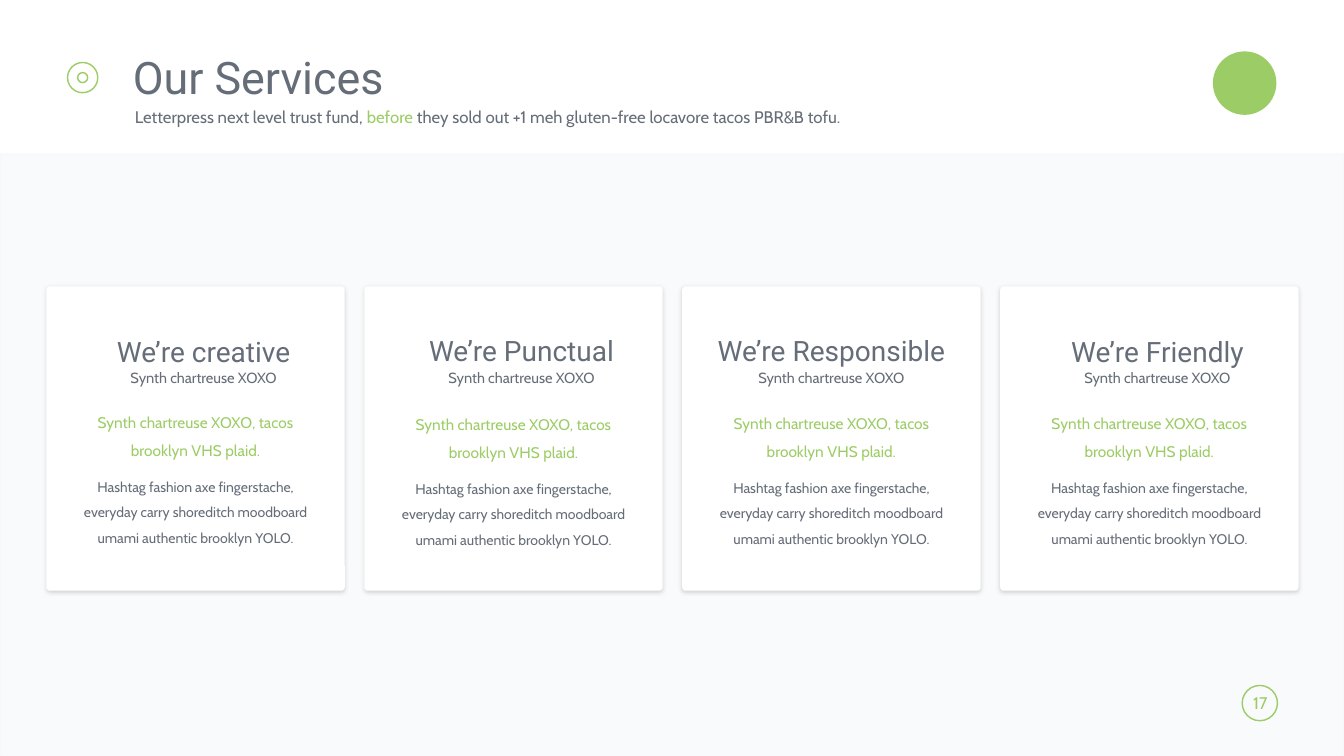
from dataclasses import dataclass

from lxml.etree import SubElement
from pptx import Presentation
from pptx.dml.color import RGBColor
from pptx.enum.shapes import MSO_SHAPE
from pptx.enum.text import MSO_ANCHOR, PP_ALIGN
from pptx.oxml.ns import qn
from pptx.util import Inches, Pt


@dataclass(frozen=True)
class Theme:
    """Colours, fonts and type sizes of the slide."""
    green: str = "9CCC65"
    gray: str = "656D78"
    white: str = "FFFFFF"
    panel: str = "7B8DB3"
    edge: str = "EBEBEB"
    shadow: str = "000000"
    heading_font: str = "Roboto"
    body_font: str = "Cabin"
    title: float = 32
    heading: float = 20
    subtitle: float = 12
    lead: float = 11
    tagline: float = 10.5
    detail: float = 10


THEME = Theme()
TAGLINE = "Synth chartreuse XOXO"
LEAD = "Synth chartreuse XOXO, tacos brooklyn VHS plaid."
DETAIL = ("Hashtag fashion axe fingerstache, everyday carry shoreditch "
          "moodboard umami authentic brooklyn YOLO.")
SERVICES = [
    {"name": "We’re creative", "shift": 0.08, "heading_top": 0.49, "body_top": 1.17},
    {"name": "We’re Punctual", "shift": 0.08, "heading_top": 0.48, "body_top": 1.19},
    {"name": "We’re Responsible", "shift": 0, "heading_top": 0.48, "body_top": 1.18},
    {"name": "We’re Friendly", "shift": 0.08, "heading_top": 0.49, "body_top": 1.18},
]


def text_style(size, color=THEME.gray, font=THEME.body_font):
    """Return the font values of a span."""
    return {"name": font, "size": Pt(size), "color": color}


def set_values(target, values):
    """Set each attribute of the target from a dict."""
    for name, value in values.items():
        setattr(target, name, value)


def set_alpha(parent, percent):
    """Make the solid colour inside an element partly transparent."""
    color = parent.find(qn("a:solidFill"))[0]
    SubElement(color, qn("a:alpha"), val=str(percent * 1000))


def add_shadow(shape, alpha, blur, distance):
    """Give a shape a soft shadow that falls downward."""
    effects = shape._element.spPr.find(qn("a:effectLst"))
    outer = SubElement(effects, qn("a:outerShdw"), blurRad=str(Pt(blur)),
                       dist=str(Pt(distance)), dir="5400000", algn="t", rotWithShape="0")
    color = SubElement(outer, qn("a:srgbClr"), val=THEME.shadow)
    SubElement(color, qn("a:alpha"), val=str(alpha * 1000))


def add_block(page, kind, box, fill=None, line=None, width=1):
    """Add a preset shape without shadow and return it."""
    shape = page.shapes.add_shape(kind, *map(Inches, box))
    shape.shadow.inherit = False
    if fill:
        shape.fill.solid()
        shape.fill.fore_color.rgb = RGBColor.from_string(fill)
    else:
        shape.fill.background()
    if line:
        shape.line.color.rgb = RGBColor.from_string(line)
        shape.line.width = Pt(width)
    else:
        shape.line.fill.background()
    return shape


def add_text(page, box, paragraphs, layout, wrap=True, inset=None):
    """Add a text box whose paragraphs are lists of text and style pairs."""
    frame = page.shapes.add_textbox(*map(Inches, box)).text_frame
    set_values(frame, {"word_wrap": wrap, "vertical_anchor": MSO_ANCHOR.TOP})
    if inset is not None:
        sides = ("left", "top", "right", "bottom")
        set_values(frame, {f"margin_{side}": Inches(inset) for side in sides})
    for index, spans in enumerate(paragraphs):
        para = frame.add_paragraph() if index else frame.paragraphs[0]
        set_values(para, layout)
        if index:
            para.space_before = Pt(7.5)
        for text, style in spans:
            span = para.add_run()
            span.text = text
            set_values(span.font, {key: style[key] for key in ("name", "size")})
            span.font.color.rgb = RGBColor.from_string(style["color"])


def add_rings(page, center_x, center_y):
    """Draw the two concentric rings beside the title."""
    for diameter in (0.3, 0.1):
        box = (center_x - diameter / 2, center_y - diameter / 2, diameter, diameter)
        add_block(page, MSO_SHAPE.OVAL, box, line=THEME.green)


def add_header(page, left, top, width):
    """Place the emblem, rings, title and subtitle."""
    emblem_box = (left + width + 0.74, top + 0.01, 0.63, 0.63)
    add_block(page, MSO_SHAPE.OVAL, emblem_box, fill=THEME.green)
    add_rings(page, left - 0.4, top + 0.27)
    layout = {"line_spacing": 0.9}
    title = text_style(THEME.title, font=THEME.heading_font)
    add_text(page, (left, top, width, 0.53), [[("Our Services", title)]], layout)
    plain = text_style(THEME.subtitle)
    accent = text_style(THEME.subtitle, THEME.green)
    subtitle = [("Letterpress next level trust fund, ", plain), ("before", accent),
                (" they sold out +1 meh gluten-free locavore tacos PBR&B tofu.", plain)]
    add_text(page, (left + 0.02, top + 0.53, width, 0.29), [subtitle], layout)


def add_panel(page, box):
    """Draw the tinted area below the header."""
    panel = add_block(page, MSO_SHAPE.RECTANGLE, box, THEME.panel, THEME.edge, 2)
    properties = panel._element.spPr
    set_alpha(properties, 4)
    set_alpha(properties.find(qn("a:ln")), 10)


def add_card(page, box, service):
    """Place one service card with its heading and body."""
    left, top, width, height = box
    card = add_block(page, MSO_SHAPE.ROUNDED_RECTANGLE, box, fill=THEME.white)
    card.adjustments[0] = 0.012
    add_shadow(card, alpha=15, blur=3, distance=1)
    body = [[(LEAD, text_style(THEME.lead, THEME.green))],
            [(DETAIL, text_style(THEME.detail))]]
    add_text(page, (left + 0.3, top + service["body_top"], width - 0.6, 1.67), body,
             {"alignment": PP_ALIGN.CENTER, "line_spacing": 1.5}, inset=0)
    heading = text_style(THEME.heading, font=THEME.heading_font)
    labels = [(service["name"], heading, service["heading_top"], 0.37),
              (TAGLINE, text_style(THEME.tagline), 0.8, 0.29)]
    for text, style, offset, label_height in labels:
        label_box = (left + 0.25 + service["shift"], top + offset, width - 0.5, label_height)
        add_text(page, label_box, [[(text, style)]],
                 {"alignment": PP_ALIGN.CENTER, "line_spacing": 0.8})


def add_cards(page, left, top, right):
    """Spread the service cards evenly from left to right."""
    width, height = 2.96, 3.02
    pitch = (right - left - width) / (len(SERVICES) - 1)
    for index, service in enumerate(SERVICES):
        add_card(page, (left + index * pitch, top, width, height), service)


def add_page_number(page, box):
    """Draw the page number in its rounded badge."""
    left, top, width, height = box
    badge = add_block(page, MSO_SHAPE.ROUNDED_RECTANGLE, box, line=THEME.green)
    badge.adjustments[0] = 0.5
    add_text(page, (left - 0.01, top + 0.02, width + 0.03, height - 0.05),
             [[("17", text_style(THEME.subtitle, THEME.green))]],
             {"alignment": PP_ALIGN.CENTER}, wrap=False)


def main():
    """Build the services slide and save it."""
    deck = Presentation()
    set_values(deck, {"slide_width": Inches(13.33), "slide_height": Inches(7.5)})
    page = deck.slides.add_slide(deck.slide_layouts[6])
    add_panel(page, (0, 1.53, 13.33, 5.98))
    add_header(page, 1.22, 0.5, 10.07)
    add_page_number(page, (12.32, 6.8, 0.35, 0.35))
    add_cards(page, 0.46, 2.84, 12.88)
    deck.save("out.pptx")


if __name__ == "__main__":
    main()
